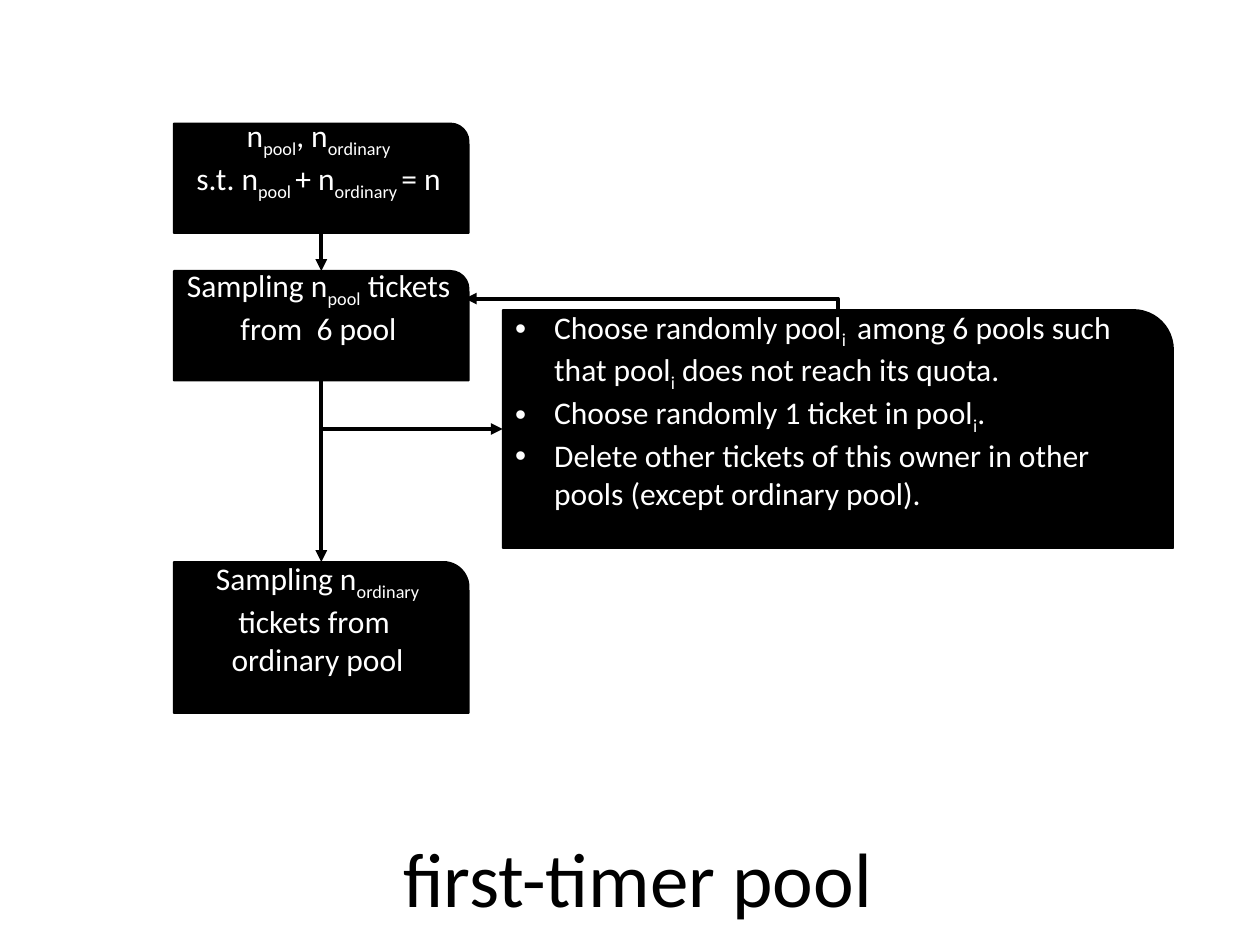
from dataclasses import dataclass

from lxml.etree import SubElement
from pptx import Presentation
from pptx.dml.color import RGBColor
from pptx.enum.shapes import MSO_CONNECTOR, MSO_SHAPE
from pptx.enum.text import MSO_ANCHOR, MSO_AUTO_SIZE, PP_ALIGN
from pptx.oxml.ns import qn
from pptx.util import Inches, Pt

COLOURS = {"ink": "000000", "paper": "FFFFFF"}
FONT = "Calibri"
COLUMN_LEFT, COLUMN_WIDTH = 1.38, 2.34
COLUMN_MIDDLE = COLUMN_LEFT + COLUMN_WIDTH / 2
LINE_HEIGHT = 0.305
BULLET_INDENT = 0.31


@dataclass
class Step:
    left: float
    top: float
    width: float
    height: float
    lines: list[str]  # text between underscores is subscript
    bulleted: bool = False

    @property
    def bottom(self) -> float:
        return self.top + self.height


def colour(name: str) -> RGBColor:
    return RGBColor.from_string(COLOURS[name])


def add_spans(para, text: str, size: float, ink: str) -> None:
    for index, part in enumerate(text.split("_")):
        if not part:
            continue
        span = para.add_run()
        span.text = part
        span.font.name, span.font.size = FONT, Pt(size)
        span.font.color.rgb = colour(ink)
        if index % 2:
            span._r.get_or_add_rPr().set("baseline", "-25000")


def add_bullet(para) -> None:
    properties = para._p.get_or_add_pPr()
    properties.set("marL", str(Inches(BULLET_INDENT)))
    properties.set("indent", str(-Inches(BULLET_INDENT)))
    SubElement(properties, qn("a:buFont")).set("typeface", "Arial")
    SubElement(properties, qn("a:buChar")).set("char", "•")


def add_step(page, step: Step) -> None:
    box = page.shapes.add_shape(
        MSO_SHAPE.ROUND_1_RECTANGLE,
        *map(Inches, (step.left, step.top, step.width, step.height)))
    box.shadow.inherit = False
    box.fill.solid()
    box.fill.fore_color.rgb = colour("ink")
    box.line.color.rgb = colour("ink")
    box.line.width = Pt(1)
    frame = box.text_frame
    frame.word_wrap = True
    frame.vertical_anchor = MSO_ANCHOR.MIDDLE
    # One line of room stays free below the text
    frame.margin_bottom = Inches(0.05 + LINE_HEIGHT)
    for index, line in enumerate(step.lines):
        para = frame.add_paragraph() if index else frame.paragraphs[0]
        para.alignment = PP_ALIGN.LEFT if step.bulleted else PP_ALIGN.CENTER
        if step.bulleted:
            add_bullet(para)
        add_spans(para, line, 18, "paper")


def style_arrow(arrow) -> None:
    arrow.line.color.rgb = colour("ink")
    arrow.line.width = Pt(2.25)
    SubElement(arrow.line._get_or_add_ln(), qn("a:tailEnd")).set("type", "triangle")
    SubElement(arrow._element.spPr, qn("a:effectLst"))


def add_straight(page, x: float, top: float, bottom: float) -> None:
    style_arrow(page.shapes.add_connector(
        MSO_CONNECTOR.STRAIGHT, *map(Inches, (x, top, x, bottom))))


def add_bend(page, x1: float, y1: float, x2: float, y2: float) -> None:
    """Leave vertically and arrive horizontally: a quarter-turned, flipped elbow."""
    middle_x, middle_y = (x1 + x2) / 2, (y1 + y2) / 2
    half_width, half_height = abs(y2 - y1) / 2, abs(x2 - x1) / 2
    turn = 1 if x2 > x1 else -1
    arrow = page.shapes.add_connector(
        MSO_CONNECTOR.ELBOW,
        Inches(middle_x + turn * half_width), Inches(middle_y - turn * half_height),
        Inches(middle_x - turn * half_width), Inches(middle_y + turn * half_height))
    properties = arrow._element.spPr
    properties.find(qn("a:xfrm")).set("rot", str(270 * 60000))
    properties.find(qn("a:prstGeom")).set("prst", "bentConnector2")
    style_arrow(arrow)


deck = Presentation()
deck.slide_width, deck.slide_height = Inches(10), Inches(7.5)
page = deck.slides.add_slide(deck.slide_layouts[5])

# Title
title = page.shapes.title
title.left, title.top, title.width, title.height = map(Inches, (3.1, 5.7, 4.03, 2.61))
title.text_frame.auto_size = MSO_AUTO_SIZE.NONE
title.text_frame.vertical_anchor = MSO_ANCHOR.MIDDLE
heading = title.text_frame.paragraphs[0]
heading.alignment = PP_ALIGN.LEFT
heading.line_spacing = 0.9
add_spans(heading, "first-timer pool", 44, "ink")

# Steps
split = Step(COLUMN_LEFT, 0.98, COLUMN_WIDTH, 0.87,
             ["n_pool_, n_ordinary_", "s.t. n_pool _+ n_ordinary _= n"])
pool = Step(COLUMN_LEFT, 2.15, COLUMN_WIDTH, 0.87,
            ["Sampling n_pool_ tickets from  6 pool"])
rules = Step(3.99, 2.46, 5.32, 1.89, [
    "Choose randomly pool_i _ among 6 pools such that pool_i_ does not reach its quota.",
    "Choose randomly 1 ticket in pool_i_.",
    "Delete other tickets of this owner in other pools (except ordinary pool).",
], bulleted=True)
ordinary = Step(COLUMN_LEFT, 4.46, COLUMN_WIDTH, 1.2,
                ["Sampling n_ordinary_ tickets from  ordinary pool"])
for step in (split, pool, rules, ordinary):
    add_step(page, step)

# Arrows down the column, and the loop through the rules
for upper, lower in ((split, pool), (pool, ordinary)):
    add_straight(page, COLUMN_MIDDLE, upper.bottom, lower.top)
add_bend(page, COLUMN_MIDDLE, pool.bottom, rules.left, rules.top + rules.height / 2)
add_bend(page, rules.left + rules.width / 2, rules.top, 3.69, 2.37)

deck.save("out.pptx")
